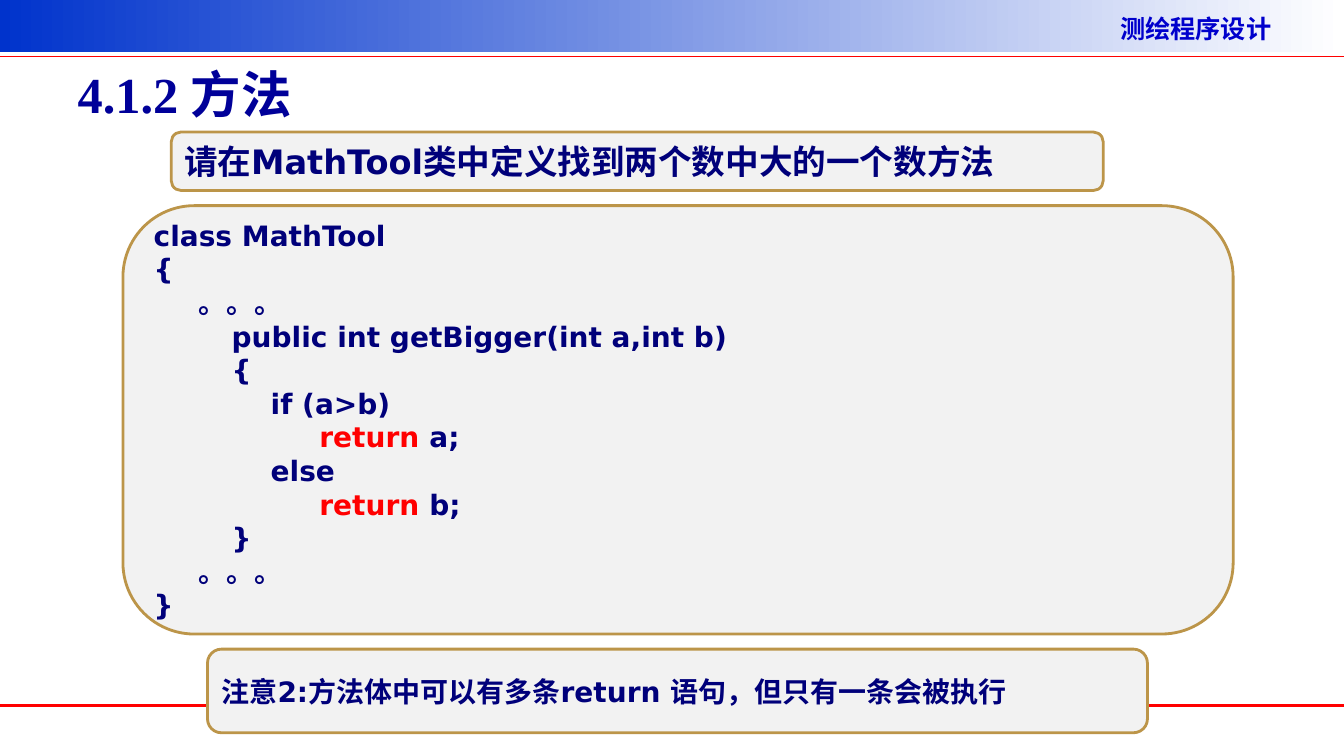
from pptx import Presentation
from pptx.dml.color import RGBColor
from pptx.enum.shapes import MSO_CONNECTOR, MSO_SHAPE
from pptx.enum.text import MSO_ANCHOR, MSO_AUTO_SIZE, PP_ALIGN
from pptx.oxml.ns import qn
from pptx.util import Inches, Pt
from lxml.etree import SubElement

CJK, SANS, SERIF = "Noto Sans CJK SC", "DejaVu Sans", "Times New Roman"
NAVY, RED, GOLD, GREY = "00007A", "FF0000", "BC9549", "F2F2F2"
WIDTH = 13.34

COURSE = "测绘程序设计"
TITLE = "4.1.2 方法"
TASK = [[("请在MathTool类中定义找到两个数中大的一个数方法", NAVY)]]
CODE = [
    [("class MathTool", NAVY)],
    [("{", NAVY)],
    [("       。。。", NAVY)],
    [("        public int getBigger(int a,int b)", NAVY)],
    [("        {", NAVY)],
    [("            if (a>b)", NAVY)],
    [("                 return ", RED), ("a;", NAVY)],
    [("            else", NAVY)],
    [("                 return", RED), (" b;", NAVY)],
    [("        }", NAVY)],
    [("       。。。", NAVY)],
    [("}", NAVY)],
]
NOTE = [[("注意2:方法体中可以有多条return 语句，但只有一条会被执行", NAVY)]]

# left, top, width, height, text size, paragraphs
PANELS = [
    (1.7, 1.31, 9.25, 0.58, 24, TASK),
    (1.22, 2.04, 11.02, 4.25, 20, CODE),
    (2.06, 6.44, 9.33, 0.83, 20, NOTE),
]
RULES = [(0.56, 1), (7, 2.25)]  # top, line width


def rgb(color):
    return RGBColor.from_string(color)


def add_run(p, text, size, font, color):
    r = p.add_run()
    r.text = text
    r.font.size, r.font.bold, r.font.name = Pt(size), True, font
    r.font.color.rgb = rgb(color)
    SubElement(r.font._element, qn("a:ea"), typeface=CJK)


def add_panel(s, left, top, width, height, size, paragraphs):
    sp = s.shapes.add_shape(MSO_SHAPE.ROUNDED_RECTANGLE, Inches(left), Inches(top),
                            Inches(width), Inches(height))
    sp.shadow.inherit = False
    sp.fill.solid()
    sp.fill.fore_color.rgb = rgb(GREY)
    sp.line.color.rgb = rgb(GOLD)
    sp.line.width = Pt(2)
    tf = sp.text_frame
    tf.word_wrap = True
    tf.vertical_anchor = MSO_ANCHOR.MIDDLE
    for i, runs in enumerate(paragraphs):
        p = tf.add_paragraph() if i else tf.paragraphs[0]
        p.alignment = PP_ALIGN.LEFT
        for text, color in runs:
            add_run(p, text, size, SANS, color)


def add_banner(s):
    sp = s.shapes.add_shape(MSO_SHAPE.RECTANGLE, 0, 0, Inches(WIDTH), Inches(0.52))
    sp.shadow.inherit = False
    sp.line.fill.background()
    sp.fill.gradient()
    sp.fill.gradient_angle = 0
    for stop, position, color in zip(sp.fill.gradient_stops, (0, 1), ("0033CC", "FFFFFF")):
        stop.position = position
        stop.color.rgb = rgb(color)
    tf = s.shapes.add_textbox(Inches(11.02), Inches(0.08), Inches(2.3), Inches(0.4)).text_frame
    tf.word_wrap = True
    add_run(tf.paragraphs[0], COURSE, 18, CJK, "0000CC")


def add_rule(s, top, width):
    line = s.shapes.add_connector(MSO_CONNECTOR.STRAIGHT, 0, Inches(top),
                                  Inches(WIDTH), Inches(top))
    line.line.color.rgb = rgb(RED)
    line.line.width = Pt(width)
    SubElement(line._element.spPr, qn("a:effectLst"))


def set_title(s):
    title = s.shapes.title
    title.left, title.top = Inches(0.67), Inches(0.3)
    title.width, title.height = Inches(12), Inches(1.25)
    tf = title.text_frame
    tf.auto_size = MSO_AUTO_SIZE.NONE
    tf.vertical_anchor = MSO_ANCHOR.MIDDLE
    p = tf.paragraphs[0]
    p.alignment = PP_ALIGN.LEFT
    add_run(p, TITLE, 36, SERIF, "000099")


def main():
    prs = Presentation()
    prs.slide_width, prs.slide_height = Inches(WIDTH), Inches(7.5)
    s = prs.slides.add_slide(prs.slide_layouts[5])
    set_title(s)
    add_banner(s)
    for rule in RULES:
        add_rule(s, *rule)
    for panel in PANELS:
        add_panel(s, *panel)
    prs.save("out.pptx")


if __name__ == "__main__":
    main()
